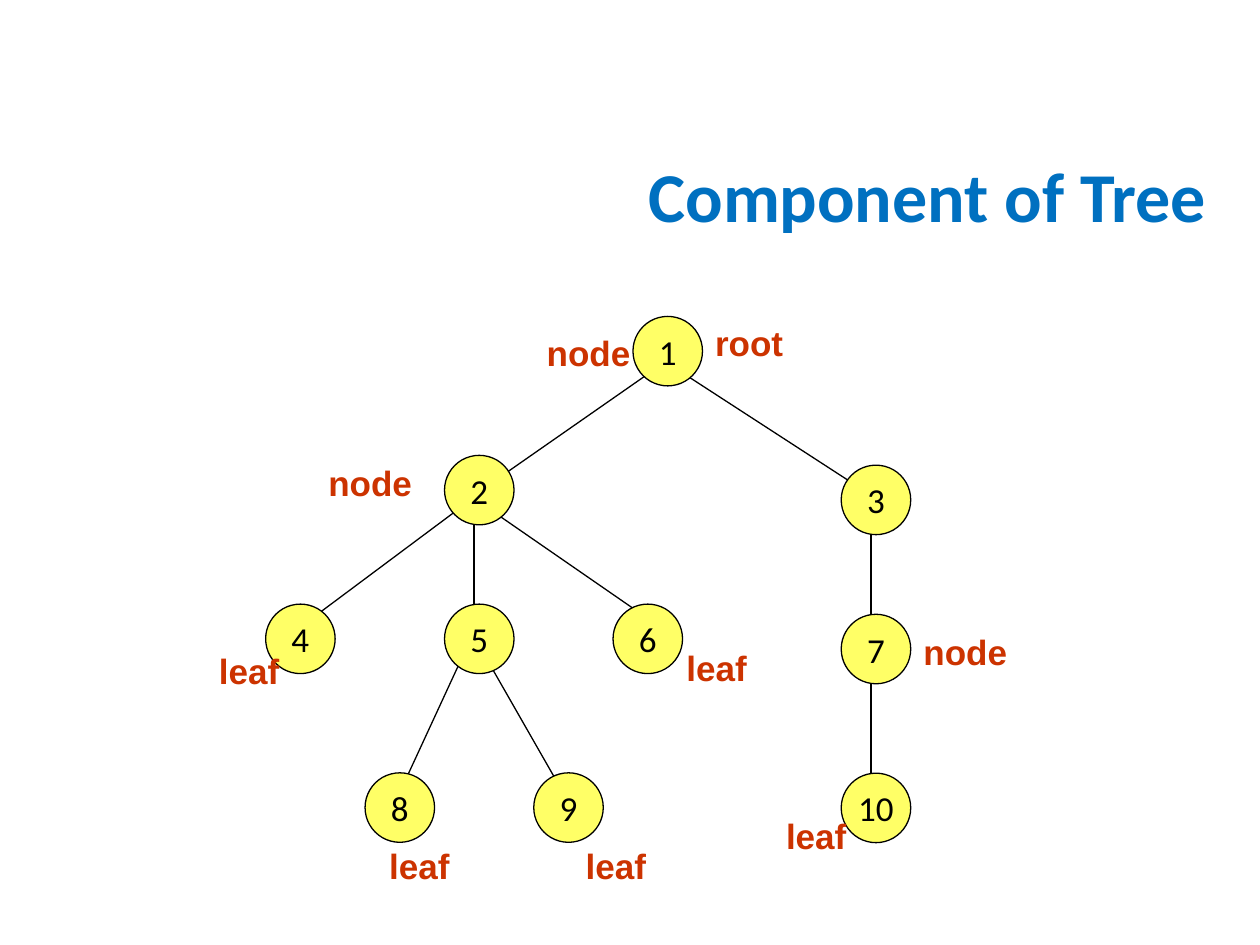
from pptx import Presentation
from pptx import util as u
from pptx.dml.color import RGBColor
from pptx.enum import shapes, text
from pptx.oxml.ns import qn
from lxml import etree

TITLE = "Component of Tree"

ROWS = [
    (180.8, [("1", 361.7)]),
    (260.2, [("2", 254)]),
    (265.8, [("3", 480.7)]),
    (345.2, [("4", 151.8), ("5", 254), ("6", 350.3)]),
    (351, [("7", 480.7)]),
    (441.6, [("8", 208.6), ("9", 305)]),
    (441.8, [("10", 480.7)]),
]

EDGES = [
    ((384.5, 203.8), (270.9, 283)),
    ((497.8, 294.5), (497.8, 458.6)),
    ((384.5, 209.5), (497.8, 283)),
    ((270.9, 288.7), (270.9, 351.4)),
    ((265, 288.7), (174.2, 356.4)),
    ((276.5, 288.7), (367.2, 351.4)),
    ((265, 373.7), (231.1, 447.1)),
    ((276.5, 373.7), (321.8, 452.9)),
]

LABELS = {
    "root": (53.6, [(401.5, 180)]),
    "node": (63, [(305.3, 185.8), (180.5, 259.9), (520.6, 356.6)]),
    "leaf": (49.2, [(385.2, 365.8), (442.1, 462), (327.6, 478.8),
                    (215.3, 478.8), (118, 367.6)]),
}

THEME = {
    "title": dict(font="Calibri", size=40, color="0070C0", bold=True),
    "node": dict(font="Calibri", size=20, color="000000"),
    "label": dict(font="Arial", size=20, color="CC3300", bold=True),
    "fill": "FFFF66",
    "line": "000000",
    "width": 0.75,
}
DIAM = 39.7
HIGH = 31.5


def rgb(code):
    return RGBColor.from_string(code)


def pts(*vals):
    return [u.Pt(v) for v in vals]


def write(shape, words, *, font, size, color, bold=False, align="LEFT",
          anchor="TOP", wrap=False, fit="NONE"):
    frame = shape.text_frame
    frame.word_wrap = wrap
    frame.auto_size = getattr(text.MSO_AUTO_SIZE, fit)
    frame.vertical_anchor = getattr(text.MSO_ANCHOR, anchor)
    para = frame.paragraphs[0]
    para.alignment = getattr(text.PP_ALIGN, align)
    run = para.add_run()
    run.text = words
    run.font.name, run.font.size = font, u.Pt(size)
    run.font.bold = bold
    run.font.color.rgb = rgb(color)


def ink(line):
    line.color.rgb = rgb(THEME["line"])
    line.width = u.Pt(THEME["width"])


def edge(slide, start, end):
    link = slide.shapes.add_connector(
        shapes.MSO_CONNECTOR.STRAIGHT, *pts(*start, *end))
    ink(link.line)
    etree.SubElement(link._element.spPr, qn("a:effectLst"))


def node(slide, name, left, top):
    disc = slide.shapes.add_shape(
        shapes.MSO_SHAPE.OVAL, *pts(left, top, DIAM, DIAM))
    disc.shadow.inherit = False
    disc.fill.solid()
    disc.fill.fore_color.rgb = rgb(THEME["fill"])
    ink(disc.line)
    write(disc, name, align="CENTER", anchor="MIDDLE", **THEME["node"])


def main():
    deck = Presentation()
    deck.slide_width, deck.slide_height = pts(720, 540)
    slide = deck.slides.add_slide(deck.slide_layouts[5])

    title = slide.shapes.title
    title.left, title.top, title.width, title.height = pts(84.2, 84.2, 612, 54)
    write(title, TITLE, align="RIGHT", anchor="MIDDLE", wrap=True,
          **THEME["title"])

    for start, end in EDGES:
        edge(slide, start, end)
    for top, row in ROWS:
        for name, left in row:
            node(slide, name, left, top)
    for word, (wide, spots) in LABELS.items():
        for left, top in spots:
            box = slide.shapes.add_textbox(*pts(left, top, wide, HIGH))
            write(box, word, fit="SHAPE_TO_FIT_TEXT", **THEME["label"])

    deck.save("out.pptx")


if __name__ == "__main__":
    main()
